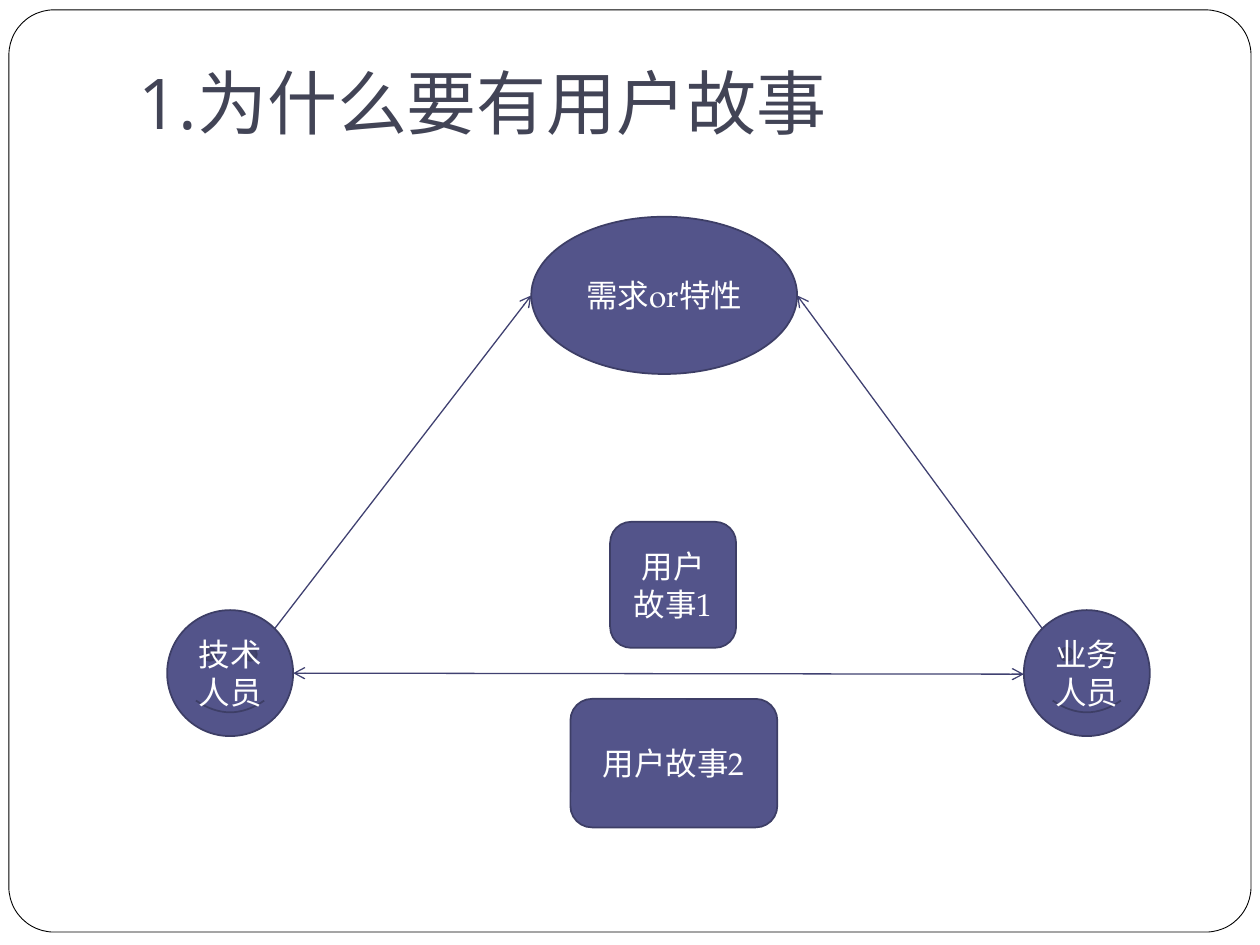
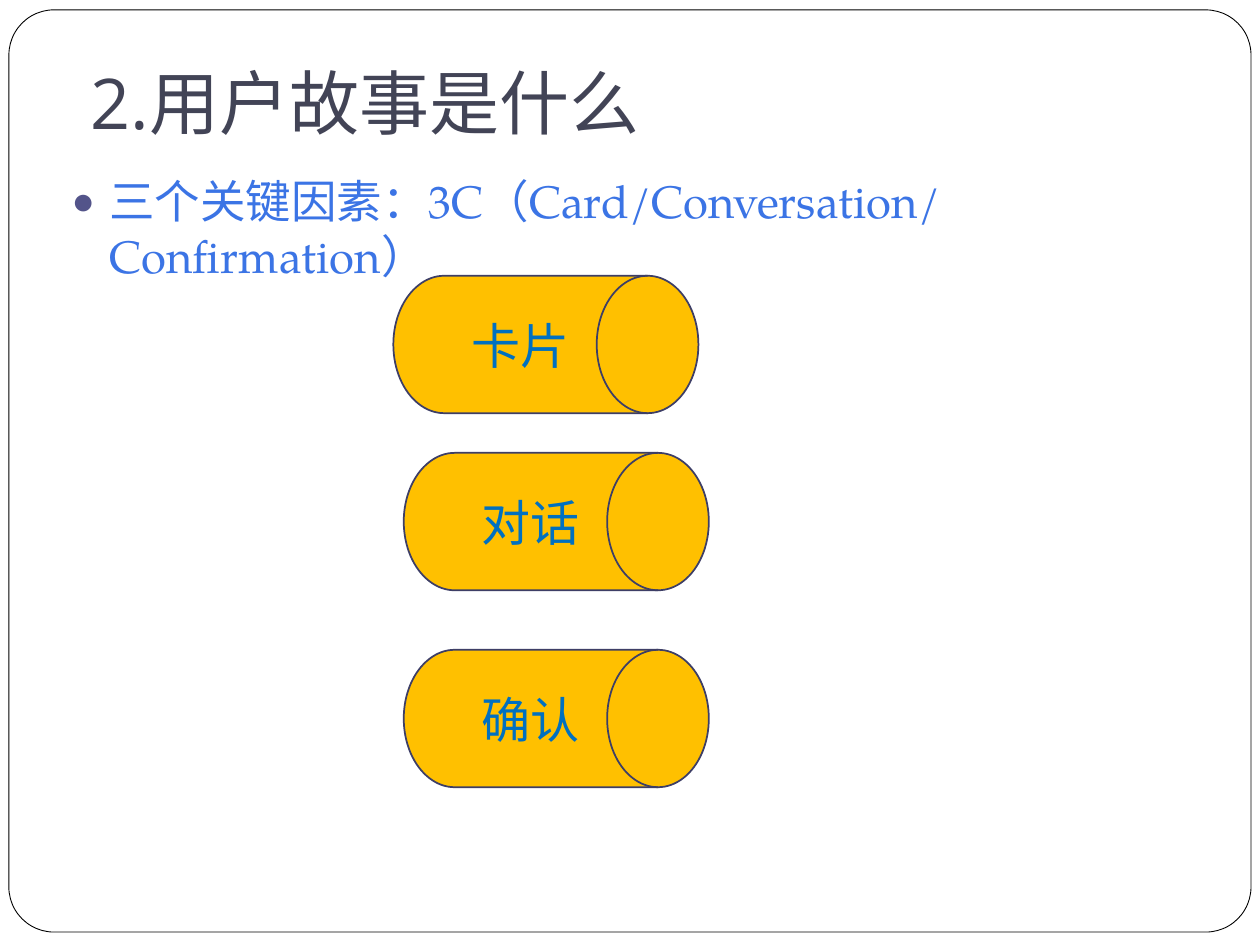
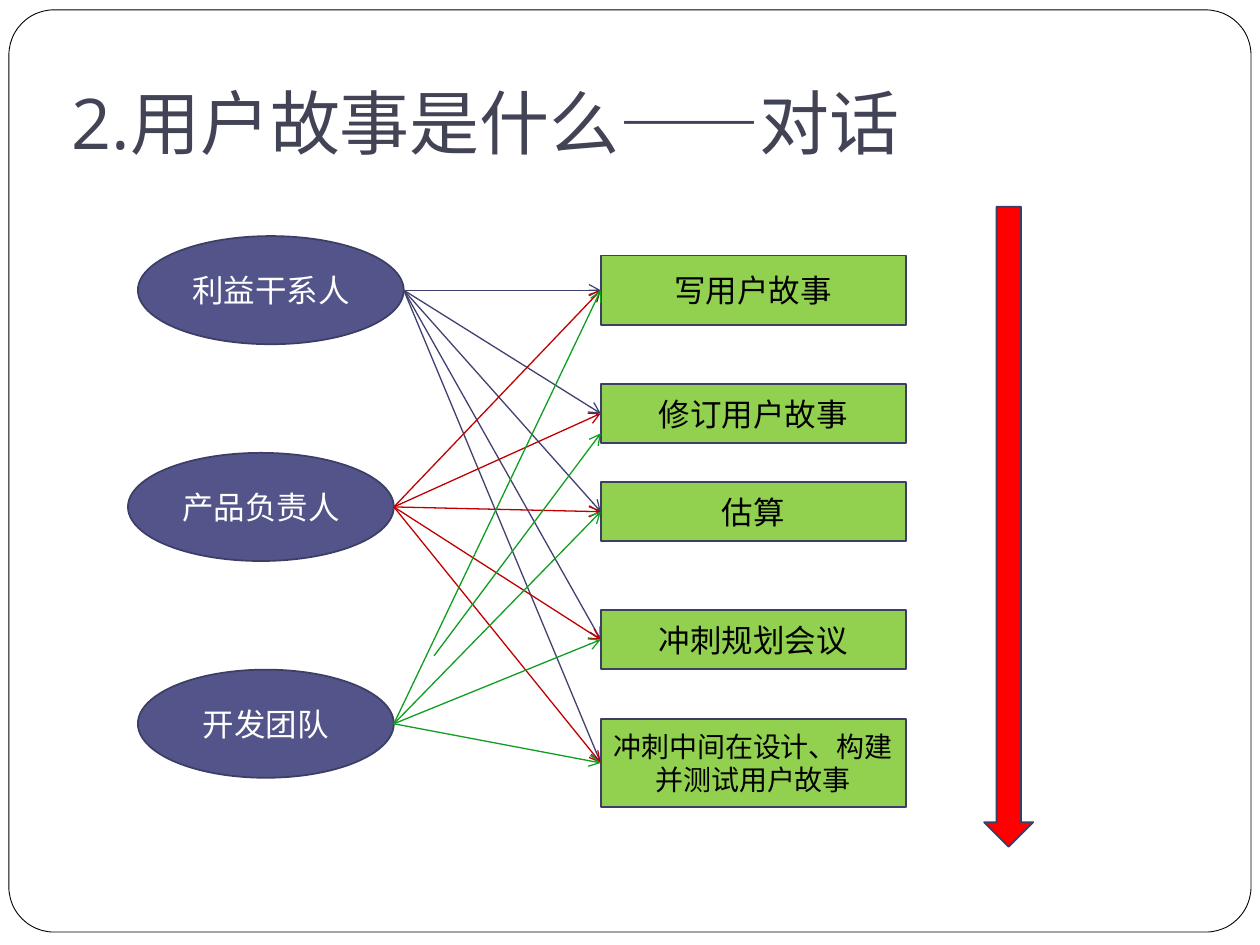
"""Build three slides on user stories."""
from lxml import etree
from pptx import Presentation
from pptx import util as u
from pptx.dml.color import RGBColor
from pptx.enum import shapes, text
from pptx.oxml import ns

SERIF, SANS = "TeX Gyre Pagella", "Open Sans"
INK, INDIGO, EDGE, LINK = "424456", "53548A", "3D3E66", "404171"
WHITE, BLACK, BLUE, SKY = "FFFFFF", "000000", "3B74E5", "0070C0"
GOLD, LIME, RED, WINE, GREEN = "FFC000", "92D050", "FF0000", "C00000", "109E21"
KIND = shapes.MSO_SHAPE


def tint(fill, color):
    """Set a fill to a solid hex colour."""
    fill.solid()
    fill.fore_color.rgb = RGBColor.from_string(color)


def place(item, x, y, w, h):
    """Move an item to a box given in centimetres."""
    item.left, item.top, item.width, item.height = map(u.Cm, (x, y, w, h))


def style(para, face, size, color):
    """Set the font of a paragraph."""
    para.font.name, para.font.size = face, u.Pt(size)
    tint(para.font.fill, color)


def sub(node, tag, **attrs):
    """Append a drawing element to a node."""
    return etree.SubElement(node, ns.qn("a:" + tag), **attrs)


def block(slide, kind, box, fill, label="", size=18, color=WHITE,
          edge=EDGE, width=1):
    """Add a filled shape with a centred label."""
    item = slide.shapes.add_shape(kind, *map(u.Cm, box))
    item.shadow.inherit = False
    tint(item.fill, fill)
    tint(item.line.fill, edge)
    item.line.width = u.Pt(width)
    if label:
        frame = item.text_frame
        frame.text, frame.word_wrap = label, True
        frame.vertical_anchor = text.MSO_ANCHOR.MIDDLE
        para = frame.paragraphs[0]
        para.alignment = text.PP_ALIGN.CENTER
        style(para, SERIF, size, color)
    return item


def arrow(slide, start, end, color=LINK, both=False):
    """Draw a thin line with an open arrowhead at its end, or at both."""
    line = slide.shapes.add_connector(
        shapes.MSO_CONNECTOR.STRAIGHT, *map(u.Cm, (*start, *end)))
    tint(line.line.fill, color)
    line.line.width = u.Pt(0.75)
    props = line.element.spPr
    stroke = props.find(ns.qn("a:ln"))
    if both:
        sub(stroke, "headEnd", type="arrow")
    sub(stroke, "tailEnd", type="arrow")
    sub(props, "effectLst")


def trim(deck):
    """Drop unused layouts and the footers that no slide shows."""
    kinds = shapes.PP_PLACEHOLDER
    feet = (kinds.DATE, kinds.FOOTER, kinds.SLIDE_NUMBER)
    for layout in list(deck.slide_layouts):
        if not layout.used_by_slides:
            deck.slide_layouts.remove(layout)
    for sheet in (deck.slide_master, *deck.slide_layouts):
        for item in list(sheet.placeholders):
            if item.placeholder_format.type in feet:
                item.element.getparent().remove(item.element)


def border(deck, slide):
    """Put the rounded page border on the master."""
    item = block(slide, KIND.ROUNDED_RECTANGLE, (0.18, 0.2, 25.04, 18.59),
                 WHITE, edge=BLACK, width=0.5)
    item.adjustments[0] = 0.049
    item.element.nvSpPr.cNvPr.set("id", "99")
    deck.slide_master.element.cSld.spTree.insert(2, item.element)


def page(deck, layout, title, x, y):
    """Add a slide with its title at the given corner."""
    slide = deck.slides.add_slide(deck.slide_layouts[layout])
    head = slide.shapes.title
    place(head, x, y, 21.59, 2.36)
    frame = head.text_frame
    frame.text, frame.word_wrap = title, True
    frame.auto_size = text.MSO_AUTO_SIZE.NONE
    frame.vertical_anchor = text.MSO_ANCHOR.BOTTOM
    frame.margin_bottom = u.Cm(0.25)
    para = frame.paragraphs[0]
    para.alignment = text.PP_ALIGN.LEFT
    style(para, SANS, 40, INK)
    return slide


def bullet(slide, box, words):
    """Fill the body placeholder with one bulleted line."""
    body = slide.placeholders[1]
    place(body, *box)
    frame = body.text_frame
    frame.text, frame.word_wrap = words, True
    frame.auto_size = text.MSO_AUTO_SIZE.NONE
    para = frame.paragraphs[0]
    para.space_before = u.Pt(5.8)
    props = para._p.get_or_add_pPr()
    props.set("marL", str(u.Cm(0.76)))
    props.set("indent", str(-u.Cm(0.76)))
    sub(sub(props, "buClr"), "srgbClr", val=INDIGO)
    sub(props, "buSzPct", val="85000")
    sub(props, "buChar", char="●")
    style(para, SERIF, 26, BLUE)


def bridge(slide, x, y, w):
    """Draw two roles that share stories below a need."""
    side, goal_w, goal_h = 2.54, 5.36, 3.17
    left, right, low = x, x + w - side, y + 7.93
    goal, mid = x + 7.34, y + goal_h / 2
    near = side * (1 - 0.5 ** 0.5) / 2
    block(slide, KIND.OVAL, (goal, y, goal_w, goal_h), INDIGO, "需求or特性")
    block(slide, KIND.SMILEY_FACE, (left, low, side, side), INDIGO, "技术人员")
    block(slide, KIND.SMILEY_FACE, (right, low, side, side), INDIGO, "业务人员")
    block(slide, KIND.ROUNDED_RECTANGLE, (x + 8.93, y + 6.15, side, side),
          INDIGO, "用户故事1")
    block(slide, KIND.ROUNDED_RECTANGLE, (x + 8.13, y + 9.72, 4.17, 2.59),
          INDIGO, "用户故事2")
    arrow(slide, (left + side - near, low + near), (goal, mid))
    arrow(slide, (right + near, low + near), (goal + goal_w, mid))
    level = low + side / 2
    arrow(slide, (left + side, level), (right, level + 0.02), both=True)


def drums(slide, x, y):
    """Stack the three key factors as drums."""
    rows = (("卡片", 0, 0), ("对话", 0.21, 3.57), ("确认", 0.21, 7.54))
    for label, dx, dy in rows:
        block(slide, KIND.FLOWCHART_DIRECT_ACCESS_STORAGE,
              (x + dx, y + dy, 6.15, 2.77), GOLD, label, 28, SKY)


def talks(slide, x, y, w, h):
    """Link each role to each task, beside a time arrow."""
    roles = (("利益干系人", 0.2, 5.36, LINK), ("产品负责人", 0, 5.36, WINE),
             ("开发团队", 0.2, 5.16, GREEN))
    tasks = (("写用户故事", 0.98, 1.4, 18), ("修订用户故事", 3.57, 1.19, 18),
             ("估算", 5.55, 1.19, 18), ("冲刺规划会议", 8.13, 1.19, 18),
             ("冲刺中间在设计、构建并测试用户故事", 10.32, 1.78, 16))
    tall, pitch, edge = 2.18, 4.37, x + 9.53
    starts, ends = [], []
    for row, (label, dx, wide, color) in enumerate(roles):
        top = y + 0.59 + row * pitch
        block(slide, KIND.OVAL, (x + dx, top, wide, tall), INDIGO, label)
        starts.append((x + dx + wide, top + tall / 2, color))
    for label, dy, high, size in tasks:
        block(slide, KIND.FLOWCHART_PROCESS, (edge, y + dy, 6.15, high),
              LIME, label, size, BLACK)
        ends.append((edge, y + dy + high / 2))
    block(slide, KIND.DOWN_ARROW, (x + w - 0.99, y, 0.99, h), RED)
    for sx, sy, color in starts:
        for row, (ex, ey) in enumerate(ends):
            if color == GREEN and row == 1:
                arrow(slide, (sx + 0.81, sy - 1.37), (ex, ey + 0.4), color)
            else:
                arrow(slide, (sx, sy), (ex, ey), color)


def main():
    """Build and save the deck."""
    deck = Presentation()
    deck.slide_width, deck.slide_height = u.Cm(25.4), u.Cm(19.05)
    why = page(deck, 5, "1.为什么要有用户故事", 2.54, 0.79)
    border(deck, why)
    bridge(why, 3.37, 4.37, 19.81)
    what = page(deck, 1, "2.用户故事是什么", 1.58, 0.79)
    bullet(what, (1.19, 3.37, 22.94, 13.36),
           "三个关键因素：3C（Card/Conversation/Confirmation）")
    drums(what, 7.93, 5.56)
    talk = page(deck, 5, "2.用户故事是什么——对话", 1.19, 1.19)
    talks(talk, 2.58, 4.17, 18.25, 12.9)
    trim(deck)
    deck.save("out.pptx")


main()
